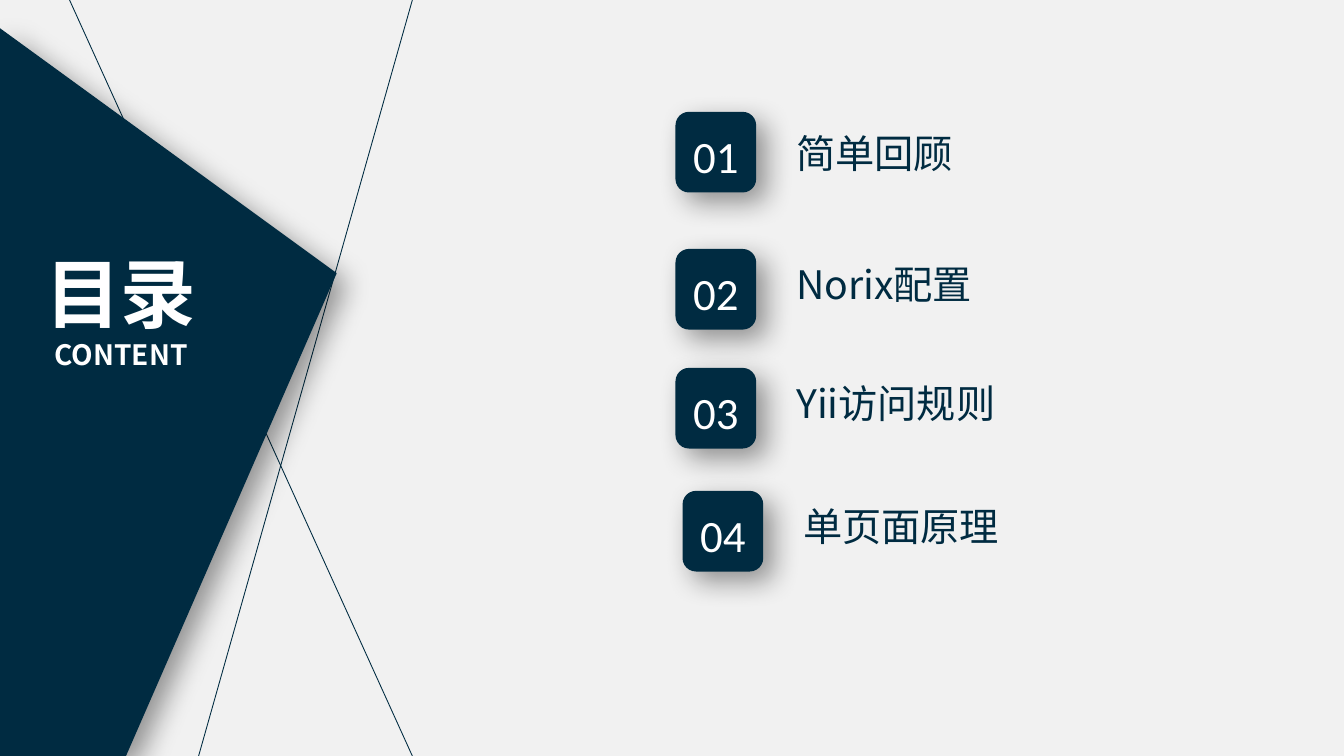
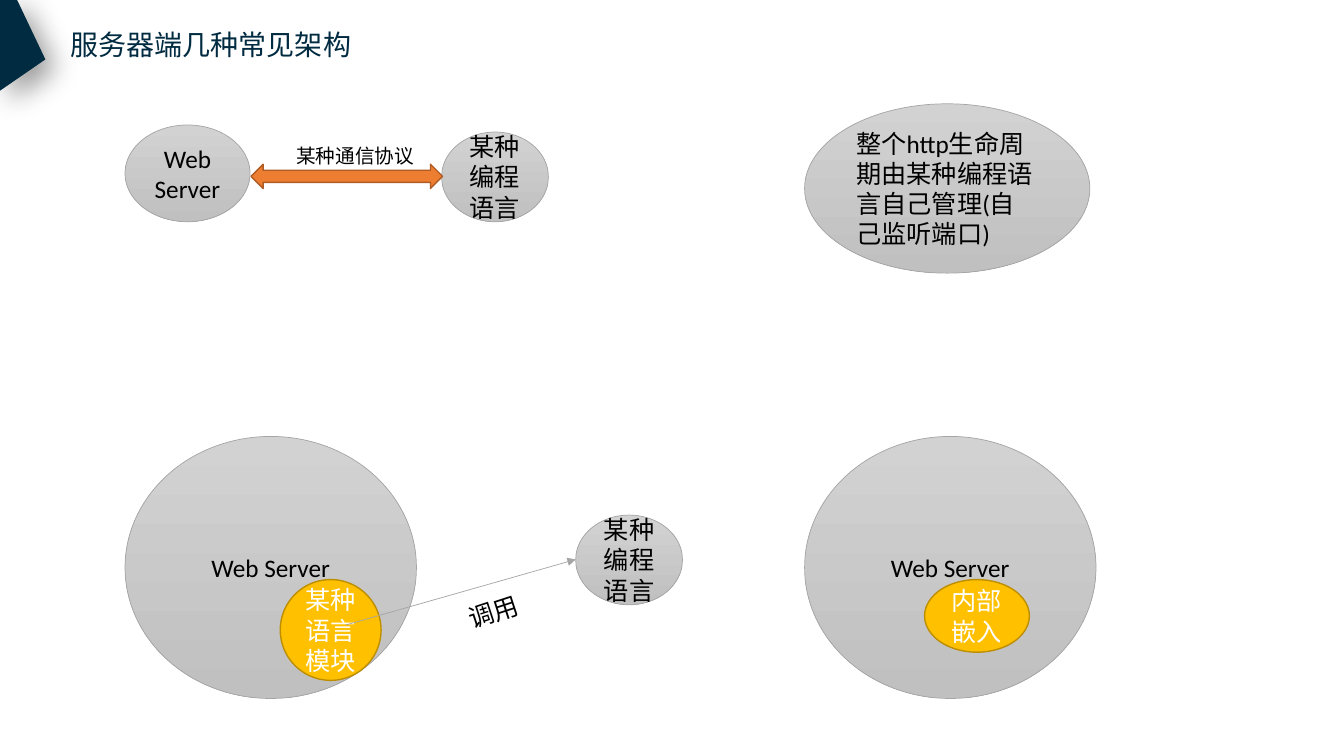
from lxml import etree
from pptx import Presentation
from pptx.dml.color import RGBColor
from pptx.enum.shapes import MSO_CONNECTOR as Link, MSO_SHAPE as Kind
from pptx.enum.text import MSO_ANCHOR as Anchor, MSO_AUTO_SIZE as Fit, PP_ALIGN as Align
from pptx.oxml import parse_xml
from pptx.oxml.ns import nsdecls, qn
from pptx.util import Inches, Pt

NAVY, PALE, WHITE, BLACK = "002B41", "F1F1F1", "FFFFFF", "000000"
GRAY, ORANGE, RUST, GOLD, BROWN = "A5A5A5", "ED7D31", "AF5C24", "FFC000", "BD8E00"
SILVER = ("D2D2D2", "C0C0C0")
CJK, LATIN = "Noto Sans CJK SC", "Calibri"


def rgb(code):
    return RGBColor.from_string(code)


def inch(*sizes):
    return [Inches(size) for size in sizes]


def style(par, size, color, font=LATIN, bold=False, align=Align.LEFT):
    par.alignment = align
    for run in par.runs:
        face = run.font
        face.size, face.bold, face.name = Pt(size), bold, font
        face.color.rgb = rgb(color)
        asian = etree.SubElement(run._r.get_or_add_rPr(), qn("a:ea"))
        asian.set("typeface", CJK)


def paint(shape, fill, line=None, width=1):
    """Fill with one colour, or from top to bottom with a pair."""
    shape.shadow.inherit = False
    if isinstance(fill, tuple):
        shape.fill.gradient()
        shape.fill.gradient_angle = 270
        for stop, code in zip(shape.fill.gradient_stops, fill):
            stop.color.rgb = rgb(code)
    else:
        shape.fill.solid()
        shape.fill.fore_color.rgb = rgb(fill)
    if line:
        shape.line.color.rgb = rgb(line)
        shape.line.width = Pt(width)
    else:
        shape.line.fill.background()


def lift(shape):
    """Cast a soft shadow to the lower right."""
    effects = shape._element.spPr.find(qn("a:effectLst"))
    effects.append(parse_xml(
        f'<a:outerShdw {nsdecls("a")} blurRad="{Pt(20)}" dist="{Pt(10)}" '
        'dir="2700000" algn="tl" rotWithShape="0"><a:srgbClr val="000000">'
        '<a:alpha val="40000"/></a:srgbClr></a:outerShdw>'))


def wedge(slide, points):
    start, *rest = [inch(*point) for point in points]
    pen = slide.shapes.build_freeform(*start, scale=1.0)
    pen.add_line_segments(rest, close=True)
    shape = pen.convert_to_shape()
    paint(shape, NAVY)
    lift(shape)


def rule(slide, start, end, color, width, arrow=False):
    line = slide.shapes.add_connector(Link.STRAIGHT, *inch(*start, *end))
    line.line.color.rgb = rgb(color)
    line.line.width = Pt(width)
    if arrow:
        etree.SubElement(line.line._get_or_add_ln(), qn("a:tailEnd")).set("type", "triangle")
    etree.SubElement(line._element.spPr, qn("a:effectLst"))


def label(slide, box, text, size, color=BLACK, font=LATIN, wrap=True):
    shape = slide.shapes.add_textbox(*inch(*box))
    shape.text_frame.word_wrap = wrap
    shape.text_frame.text = text
    style(shape.text_frame.paragraphs[0], size, color, font)
    return shape


def heading(slide, box, lines, sizes, color, bold=False, align=Align.LEFT):
    title = slide.shapes.title
    title.left, title.top, title.width, title.height = inch(*box)
    frame = title.text_frame
    frame.text = "\n".join(lines)
    frame.auto_size, frame.vertical_anchor = Fit.NONE, Anchor.TOP
    for par, size in zip(frame.paragraphs, sizes):
        style(par, size, color, CJK, bold, align)
    slide.shapes.element.append(title._element)


def badge(slide, left, top, number):
    shape = slide.shapes.add_shape(Kind.ROUNDED_RECTANGLE, *inch(left, top, 0.8, 0.8))
    paint(shape, NAVY)
    lift(shape)
    frame = shape.text_frame
    frame.margin_left = frame.margin_right = 0
    frame.margin_top, frame.margin_bottom = inch(0.06, 0)
    frame.text = f"{number:02}"
    style(frame.paragraphs[0], 32, WHITE, align=Align.CENTER)


def oval(slide, box, text, gold=False, align=Align.CENTER):
    shape = slide.shapes.add_shape(Kind.OVAL, *inch(*box))
    if gold:
        paint(shape, GOLD, BROWN)
    else:
        paint(shape, SILVER, GRAY, 0.5)
    shape.text_frame.text = text
    style(shape.text_frame.paragraphs[0], 18, WHITE if gold else BLACK, align=align)


def agenda(slide):
    slide.background.fill.solid()
    slide.background.fill.fore_color.rgb = rgb(PALE)
    rule(slide, (4.09, 0), (1.97, 7.5), NAVY, 0.63)
    rule(slide, (4.09, 7.5), (0.69, 0), NAVY, 0.63)
    wedge(slide, [(1.25, 7.5), (0, 7.5), (0, 0.28), (3.34, 2.71)])
    heading(slide, (0.24, 2.4, 1.92, 1.35), ["目录", "CONTENT"], (54, 20),
            WHITE, True, Align.CENTER)
    items = [(6.7, 1.11, 0.12, "简单回顾"), (6.7, 2.47, 0.06, "Norix配置"),
             (6.7, 3.65, 0.06, "Yii访问规则"), (6.77, 4.87, 0.06, "单页面原理")]
    for number, (left, top, drop, text) in enumerate(items, 1):
        badge(slide, left, top, number)
        label(slide, (left + 1.1, top + drop, 3.17, 0.57), text, 28, NAVY, CJK)


def linked(slide, left, top):
    """Server and language joined by a protocol."""
    oval(slide, (left, top, 1.24, 0.96), "Web Server")
    oval(slide, (left + 3.14, top + 0.07, 1.06, 0.89), "某种编程语言")
    arrow = slide.shapes.add_shape(Kind.LEFT_RIGHT_ARROW,
                                   *inch(left + 1.25, top + 0.39, 1.9, 0.24))
    paint(arrow, ORANGE, RUST)
    label(slide, (left + 1.6, top + 0.14, 1.38, 0.34), "某种通信协议", 14, wrap=False)


def server(slide, left, top, part, box):
    """Server holding a part, whose box is relative to the server."""
    oval(slide, (left, top, 2.89, 2.6), "Web Server")
    x, y, wide, high = box
    oval(slide, (left + x, top + y, wide, high), part, gold=True)


def caller(slide, left, top):
    """Server whose module calls an outside language."""
    server(slide, left, top, "某种语言模块", (1.54, 1.42, 1, 1))
    oval(slide, (left + 4.47, top + 0.78, 1.06, 0.89), "某种编程语言")
    rule(slide, (left + 2.19, top + 1.87), (left + 4.47, top + 1.22), GRAY, 0.5, True)
    label(slide, (left + 3.3, top + 1.53, 0.74, 0.4), "调用", 18).rotation = 341.9


def designs(slide):
    heading(slide, (0.6, 0.22, 3.01, 0.44), ["服务器端几种常见架构"], [20], NAVY)
    slide.shapes.title.text_frame.word_wrap = False
    wedge(slide, [(0.17, 0), (0, 0), (0, 0.9), (0.45, 0.59)])
    linked(slide, 1.24, 1.24)
    caller(slide, 1.24, 4.33)
    oval(slide, (7.98, 1.03, 2.83, 1.68),
         "整个http生命周期由某种编程语言自己管理(自己监听端口)", align=Align.LEFT)
    server(slide, 7.98, 4.33, "内部嵌入", (1.19, 1.42, 1.04, 0.72))


def main():
    deck = Presentation()
    deck.slide_width, deck.slide_height = inch(13.33, 7.5)
    for build in (agenda, designs):
        build(deck.slides.add_slide(deck.slide_layouts[5]))
    deck.save("out.pptx")


if __name__ == "__main__":
    main()
